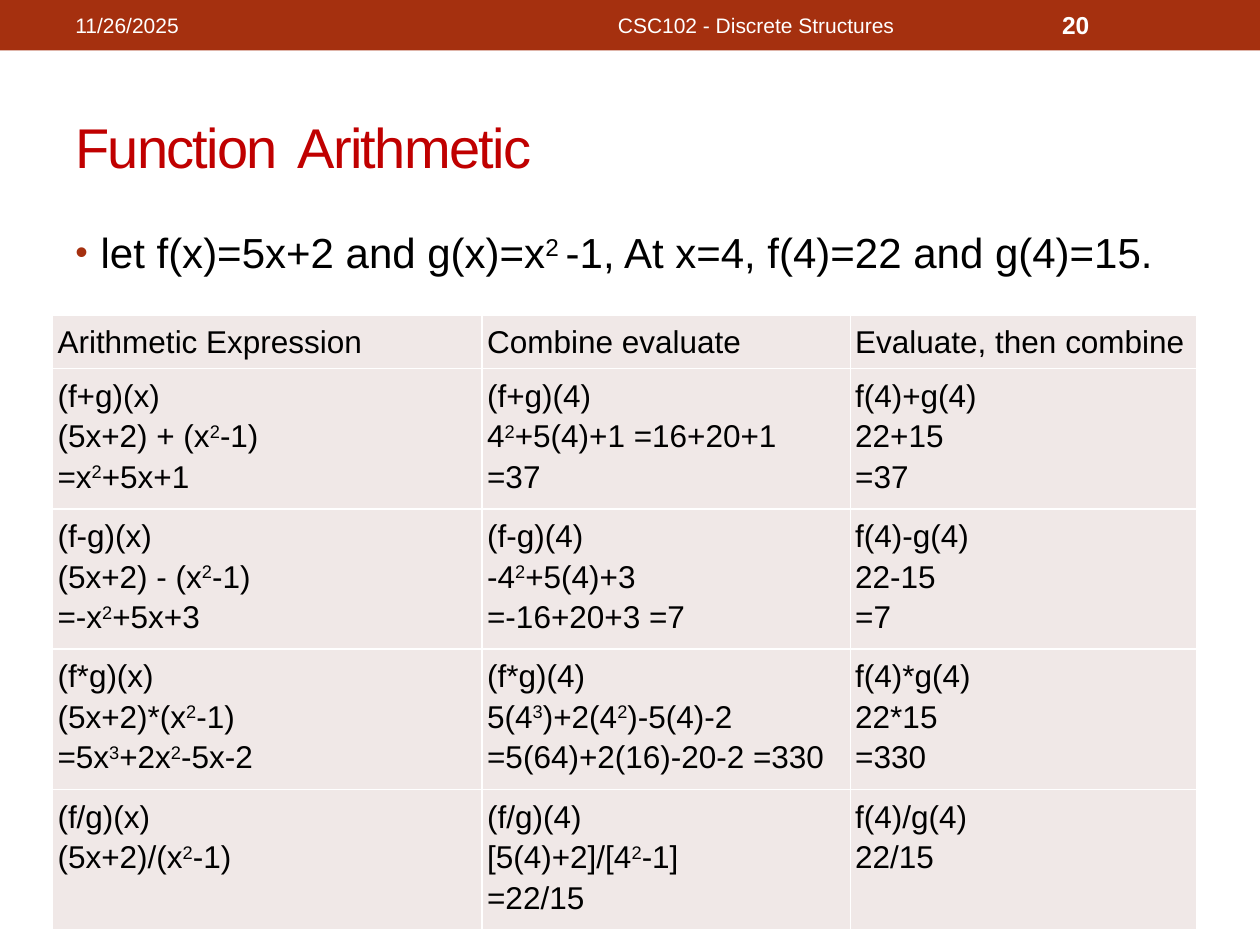
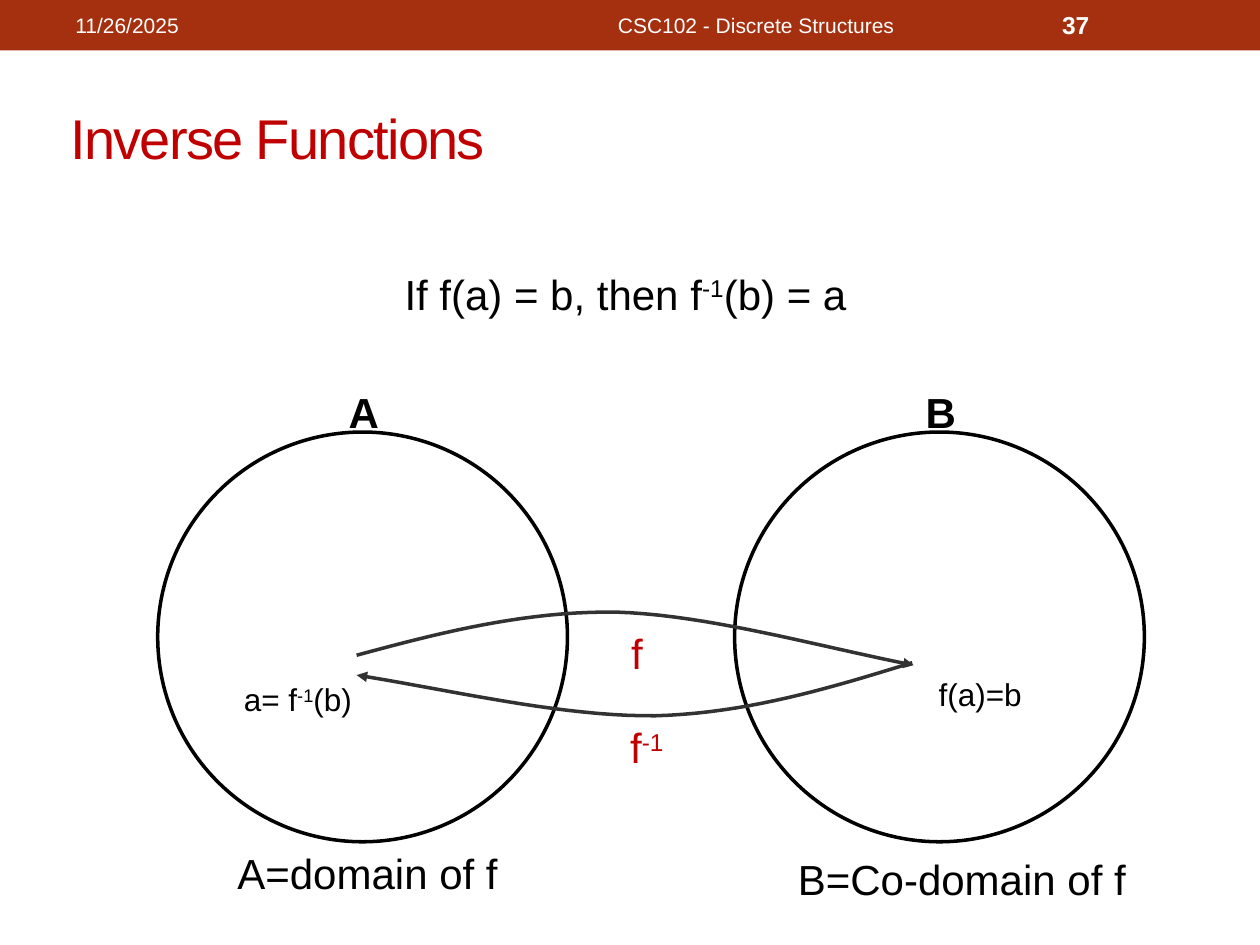
from lxml.etree import SubElement
from pptx import Presentation
from pptx.dml.color import RGBColor
from pptx.enum.shapes import MSO_SHAPE
from pptx.enum.text import MSO_ANCHOR, PP_ALIGN
from pptx.oxml.ns import qn
from pptx.util import Cm, Pt

BRICK, RED, BLACK, WHITE = "A5300F", "C00000", "000000", "FFFFFF"
CHARCOAL, CELL_FILL = "323232", "F0E8E7"
CENTER = {"alignment": PP_ALIGN.CENTER}
MIDDLE = {"vertical_anchor": MSO_ANCHOR.MIDDLE}
CELL_MARGINS = {f"margin_{side}": Cm(0.1) for side in ("left", "right", "top", "bottom")}

ARITHMETIC_ROWS = [
    [["Arithmetic Expression"], ["Combine evaluate"], ["Evaluate, then combine"]],
    [["(f+g)(x)", "(5x+2) + (x~2~-1)\n=x~2~+5x+1"],
     ["(f+g)(4)", "4~2~+5(4)+1 =16+20+1\n=37"],
     ["f(4)+g(4)", "22+15\n=37"]],
    [["(f-g)(x)", "(5x+2) - (x~2~-1)\n=-x~2~+5x+3"],
     ["(f-g)(4)", "-4~2~+5(4)+3\n=-16+20+3 =7"],
     ["f(4)-g(4)", "22-15\n=7"]],
    [["(f*g)(x)", "(5x+2)*(x~2~-1)\n=5x~3~+2x~2~-5x-2"],
     ["(f*g)(4)", "5(4~3~)+2(4~2~)-5(4)-2\n=5(64)+2(16)-20-2 =330"],
     ["f(4)*g(4)", "22*15\n=330"]],
    [["(f/g)(x)", "(5x+2)/(x~2~-1)"],
     ["(f/g)(4)", "[5(4)+2]/[4~2~-1]\n=22/15"],
     ["f(4)/g(4)", "22/15"]],
]


def color(hex_string):
    return RGBColor.from_string(hex_string)


def apply(target, values):
    for name, value in values.items():
        setattr(target, name, value)


def add_element(parent, tag, **attributes):
    return SubElement(parent, qn(tag), attributes)


def cubic_points(points, steps=20):
    curve = [points[0]]
    for first in range(0, len(points) - 1, 3):
        segment = points[first:first + 4]
        for step in range(1, steps + 1):
            t = step / steps
            weights = ((1 - t) ** 3, 3 * t * (1 - t) ** 2, 3 * t * t * (1 - t), t ** 3)
            curve.append(tuple(sum(w * p[axis] for w, p in zip(weights, segment))
                               for axis in (0, 1)))
    return [(Cm(x), Cm(y)) for x, y in curve]


class Lesson:
    font = "Arial"

    def __init__(self):
        self.deck = Presentation()
        self.deck.slide_width, self.deck.slide_height = Cm(25.4), Cm(19.05)
        self.slide = None

    def new_slide(self, number):
        self.slide = self.deck.slides.add_slide(self.deck.slide_layouts[6])
        self.shape(MSO_SHAPE.RECTANGLE, (0, 0, 25.4, 1.02), fill=BRICK)
        for text, left, width, size, layout, bold in (
            ("11/26/2025", 1.27, 8.05, 12, {}, False),
            ("CSC102 - Discrete Structures", 9.53, 11.43, 12, CENTER, False),
            (str(number), 21.16, 2.97, 14, {}, True),
        ):
            self.text(text, (left, 0.05, width, 0.91), size, WHITE, bold, layout, MIDDLE)

    def span(self, para, text, size, hex_string, bold=False, raised=False):
        span = para.add_run()
        span.text = text
        apply(span.font, {"name": self.font, "size": Pt(size), "bold": bold})
        span.font.color.rgb = color(hex_string)
        if raised:
            span.font._element.set("baseline", "30000")

    def fill_para(self, para, text, size, hex_string=BLACK, bold=False, layout={}):
        apply(para, layout)
        for index, line in enumerate(text.split("\n")):
            if index:
                para.add_line_break()
            for position, piece in enumerate(line.split("~")):
                if piece:
                    self.span(para, piece, size, hex_string, bold, position % 2 == 1)

    def text(self, text, place, size, hex_string=BLACK, bold=False, layout={}, frame={}):
        box = self.slide.shapes.add_textbox(*map(Cm, place))
        apply(box.text_frame, {"word_wrap": True, **frame})
        para = box.text_frame.paragraphs[0]
        self.fill_para(para, text, size, hex_string, bold, layout)
        return para

    def title(self, text, left, top, gap_size=32):
        para = self.text("", (left, top, 22.86, 2.74), 32, frame=MIDDLE)
        for index, word in enumerate(text.split()):
            if index:
                self.span(para, " ", gap_size, RED)
            self.span(para, word, 32, RED)
        for span in para.runs:
            span.font._element.set("spc", "-100")

    def bullet(self, text, place, size):
        para = self.text("", place, size)
        properties = para._p.get_or_add_pPr()
        properties.set("marL", str(Cm(0.51)))
        properties.set("indent", str(-Cm(0.51)))
        add_element(add_element(properties, "a:buClr"), "a:srgbClr", val=BRICK)
        add_element(properties, "a:buSzPct", val="85000")
        add_element(properties, "a:buFont", typeface=self.font)
        add_element(properties, "a:buChar", char="•")
        self.fill_para(para, text, size)

    def paint(self, shape, fill=None, line=None):
        shape.shadow.inherit = False
        if fill:
            shape.fill.solid()
            shape.fill.fore_color.rgb = color(fill)
        else:
            shape.fill.background()
        if line:
            shape.line.color.rgb = color(line)
            shape.line.width = Pt(2)
        else:
            shape.line.fill.background()

    def shape(self, kind, place, fill=None, line=None):
        self.paint(self.slide.shapes.add_shape(kind, *map(Cm, place)), fill, line)

    def curved_arrow(self, points):
        start, *others = cubic_points(points)
        builder = self.slide.shapes.build_freeform(*start)
        builder.add_line_segments(others, close=False)
        arrow = builder.convert_to_shape()
        self.paint(arrow, line=CHARCOAL)
        add_element(arrow.line._get_or_add_ln(), "a:tailEnd", type="triangle")

    def table(self, rows, place, widths, heights):
        table = self.slide.shapes.add_table(
            len(rows), len(widths), *map(Cm, place)).table
        for column, width in zip(table.columns, widths):
            column.width = Cm(width)
        for row, height, contents in zip(table.rows, heights, rows):
            row.height = Cm(height)
            for cell, paragraphs in zip(row.cells, contents):
                self.cell(cell, paragraphs)

    def cell(self, cell, paragraphs):
        apply(cell, CELL_MARGINS)
        for side in "LRTB":
            border = add_element(cell._tc.get_or_add_tcPr(), f"a:ln{side}", w=str(Pt(1)))
            add_element(add_element(border, "a:solidFill"), "a:srgbClr", val=WHITE)
        cell.fill.solid()
        cell.fill.fore_color.rgb = color(CELL_FILL)
        frame = cell.text_frame
        for index, text in enumerate(paragraphs):
            para = frame.add_paragraph() if index else frame.paragraphs[0]
            self.fill_para(para, text, 18, layout={"line_spacing": 1.15})


def function_arithmetic(lesson):
    lesson.new_slide(20)
    lesson.title("Function Arithmetic", 1.27, 1.47, gap_size=40)
    lesson.bullet("let f(x)=5x+2 and g(x)=x~2 ~-1, At x=4, f(4)=22 and g(4)=15.",
                  (1.27, 4.45, 22.86, 13.54), 24)
    lesson.table(ARITHMETIC_ROWS, (1.06, 6.35, 23.06, 11.18),
                 (8.66, 7.42, 6.98), [1.02] + [2.54] * 4)


def inverse_functions(lesson):
    lesson.new_slide(37)
    lesson.title("Inverse Functions", 1.17, 1.4)
    for name, left in (("A", 3.18), ("B", 14.81)):
        lesson.shape(MSO_SHAPE.OVAL, (left, 8.71, 8.26, 8.26), line=BLACK)
        lesson.text(name, (left + 3.6, 7.67, 0.97, 1.27), 24, bold=True)
    lesson.curved_arrow([(7.19, 13.21), (8.89, 12.75), (10.57, 12.32), (12.42, 12.34),
                         (14.3, 12.4), (16.48, 13.03), (18.42, 13.41)])
    lesson.curved_arrow([(18.39, 13.36), (16.74, 13.87), (15.06, 14.38), (13.21, 14.43),
                         (11.33, 14.45), (9.12, 13.92), (7.19, 13.61)])
    for text, place, size in (
        ("a= f~-1~(b)", (4.57, 13.59, 2.87, 1.02), 18),
        ("f(a)=b", (17.93, 13.49, 3.66, 1.02), 18),
        ("If f(a) = b, then f~-1~(b) = a", (7.11, 5.28, 11, 1.3), 24),
        ("A=domain of f", (1.91, 16.97, 11, 1.3), 24),
        ("B=Co-domain of f", (13.89, 17.09, 11, 1.3), 24),
    ):
        lesson.text(text, place, size, layout=CENTER)
    for text, place in (("f", (12.47, 12.52, 0.74, 1.27)),
                        ("f~-1~", (12.42, 14.43, 1.24, 1.27))):
        lesson.text(text, place, 24, RED, layout=CENTER, frame={"word_wrap": False})


def main():
    lesson = Lesson()
    function_arithmetic(lesson)
    inverse_functions(lesson)
    lesson.deck.save("out.pptx")


if __name__ == "__main__":
    main()
